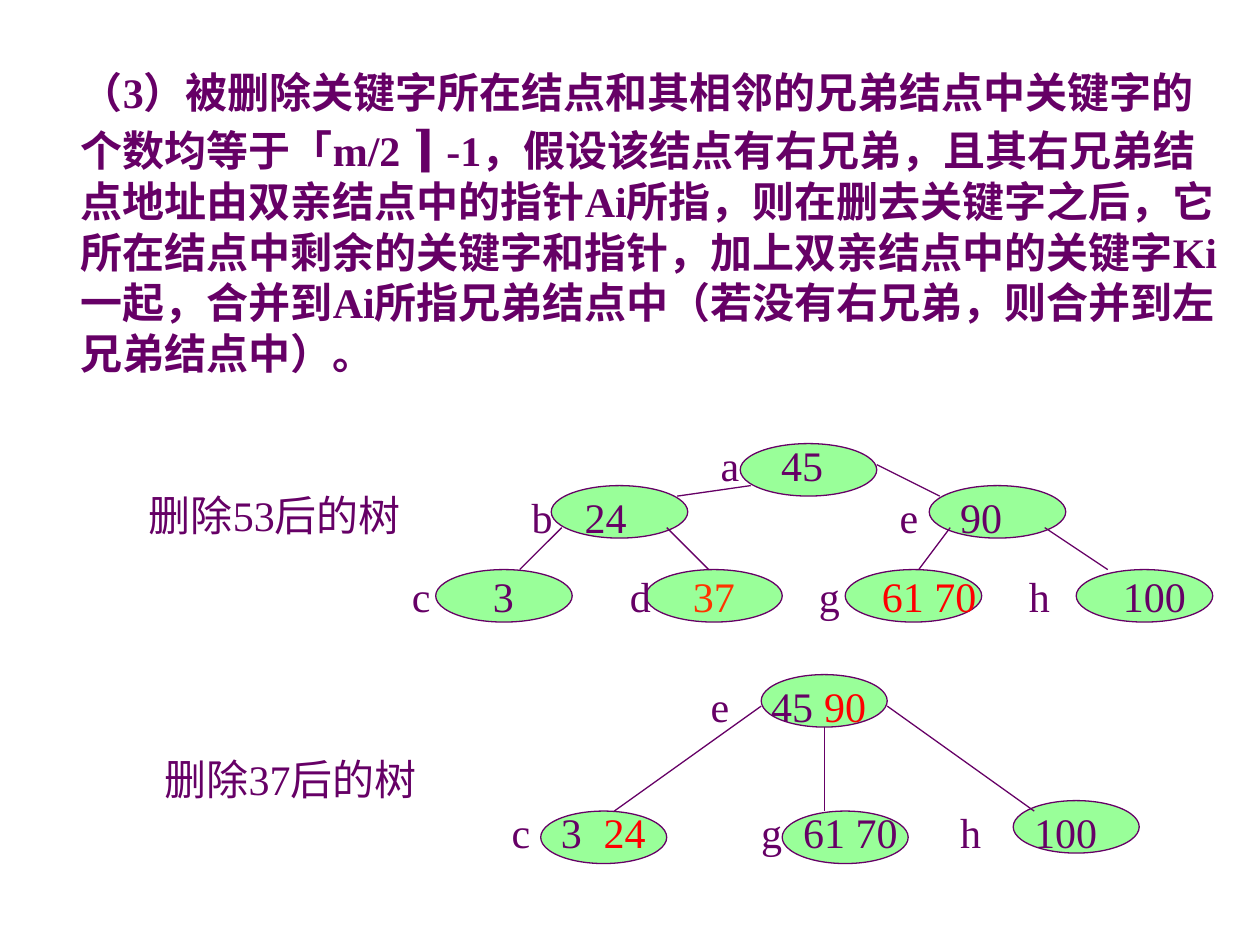
from pptx import Presentation
from pptx.dml.color import RGBColor
from pptx.enum.shapes import MSO_CONNECTOR as Link, MSO_SHAPE as Shape
from pptx.enum.text import MSO_ANCHOR as Anchor, MSO_AUTO_SIZE as Fit, PP_ALIGN as Align
from pptx.oxml.ns import qn
from pptx.util import Inches, Pt
from lxml.etree import SubElement

COLORS = {"ink": "660066", "node": "99FF99", "orange": "FF3300", "red": "FF0000"}
UNIT = Inches(1) / 24  # the slide is a grid of 240 columns by 180 rows
INSET = 2.4  # left inset of a text box, in columns
ROW_HEIGHT = 12
NODE_HEIGHT = 10

RULE = [
    ("（3）被删除关键字所在结点和其相邻的兄弟结点中关键字的个数均等于「m/2", 24),
    (" ⌉", 28),
    (" -1，假设该结点有右兄弟，且其右兄弟结点地址由双亲结点中的指针Ai所指，则在删去关键字之后，"
     "它所在结点中剩余的关键字和指针，加上双亲结点中的关键字Ki一起，合并到Ai所指兄弟结点中"
     "（若没有右兄弟，则合并到左兄弟结点中）。", 24),
]

# Positions are columns and rows inside the tree's box.
# rows: left, top, width, then each word as (column, text, colour)
AFTER_53 = {
    "node_width": 26,
    "nodes": [(73, 2), (37, 10), (109, 10), (15, 26), (55, 26), (93, 26), (137, 26)],
    "rows": [
        (63, 0, 42, [(69.3, "a", "ink"), (80.8, "45", "ink")]),
        (19, 10, 128, [(33.3, "b", "ink"), (43.4, "24", "ink"),
                       (103.4, "e", "ink"), (114.9, "90", "ink")]),
        (0, 25, 164, [(10.5, "c", "ink"), (25.9, "3", "ink"),
                      (52, "d", "ink"), (64, "37", "orange"),
                      (88, "g", "ink"), (100, "61 70", "red"),
                      (128, "h", "ink"), (145.9, "100", "ink")]),
    ],
    "branches": [(75, 10, 61, 12), (39, 18, 31, 26), (59, 18, 67, 26),
                 (99, 6, 111, 12), (113, 18, 107, 26), (131, 18, 143, 26)],
}
AFTER_37 = {
    "node_width": 24,
    "nodes": [(62, 0), (20, 26), (110, 24), (66, 26)],
    "rows": [
        (34, 0, 68, [(52.4, "e", "ink"), (63.9, "45", "ink"), (74, "90", "red")]),
        (0, 24, 150, [(14.5, "c", "ink"), (23.9, "3", "ink"), (32, "24", "red"),
                      (62, "g", "ink"), (70, "61 70", "ink"),
                      (99.9, "h", "ink"), (114, "100", "ink")]),
    ],
    "branches": [(62, 6, 34, 26), (74, 10, 74, 26), (86, 6, 114, 26)],
}


def grid(*cells):
    return [round(cell * UNIT) for cell in cells]


def rgb(name):
    return RGBColor.from_string(COLORS[name])


def apply(target, values):
    for name, value in values.items():
        setattr(target, name, value)


def add_words(paragraph, text, color="ink", size=24, bold=False):
    run = paragraph.add_run()
    run.text = text
    apply(run.font, {"name": "Times New Roman", "size": Pt(size), "bold": bold})
    run.font.color.rgb = rgb(color)


def add_line_box(slide, left, top, width, wrap=True):
    frame = slide.shapes.add_textbox(*grid(left, top, width, ROW_HEIGHT)).text_frame
    frame.word_wrap = wrap
    return frame.paragraphs[0]


def outline(line):
    line.color.rgb = rgb("ink")
    line.width = Pt(0.75)


def add_rule(slide, box):
    """The deletion rule, in the title placeholder."""
    title = slide.shapes.title
    apply(title, dict(zip(("left", "top", "width", "height"), grid(*box))))
    apply(title.text_frame, {"word_wrap": True, "auto_size": Fit.NONE,
                             "vertical_anchor": Anchor.TOP})
    paragraph = title.text_frame.paragraphs[0]
    paragraph.alignment = Align.LEFT
    for text, size in RULE:
        add_words(paragraph, text, size=size, bold=True)


def add_tree(slide, x, y, tree):
    """Nodes, rows of keys and branches, placed from the corner x, y."""
    for left, top in tree["nodes"]:
        node = slide.shapes.add_shape(
            Shape.OVAL, *grid(x + left, y + top, tree["node_width"], NODE_HEIGHT))
        node.shadow.inherit = False
        node.fill.solid()
        node.fill.fore_color.rgb = rgb("node")
        outline(node.line)

    # Each word stands at its own tab stop
    for left, top, width, words in tree["rows"]:
        paragraph = add_line_box(slide, x + left, y + top, width)
        stops = SubElement(paragraph._p.get_or_add_pPr(), qn("a:tabLst"))
        for column, text, color in words:
            position = grid(column - left - INSET)[0]
            SubElement(stops, qn("a:tab"), pos=str(position), algn="l")
            add_words(paragraph, "\t" + text, color)

    for ends in tree["branches"]:
        x1, y1, x2, y2 = ends
        branch = slide.shapes.add_connector(
            Link.STRAIGHT, *grid(x + x1, y + y1, x + x2, y + y2))
        outline(branch.line)
        SubElement(branch._element.spPr, qn("a:effectLst"))


def add_caption(slide, left, top, text):
    add_words(add_line_box(slide, left, top, 56.6, wrap=False), text)


def main():
    deck = Presentation()
    deck.slide_width, deck.slide_height = grid(240, 180)
    slide = deck.slides.add_slide(deck.slide_layouts[5])

    add_rule(slide, (13, 11.5, 222, 61.7))
    add_tree(slide, 68, 82.5, AFTER_53)
    add_tree(slide, 83, 128.5, AFTER_37)
    add_caption(slide, 26, 92, "删除53后的树")
    add_caption(slide, 29, 142.4, "删除37后的树")

    deck.save("out.pptx")


if __name__ == "__main__":
    main()
